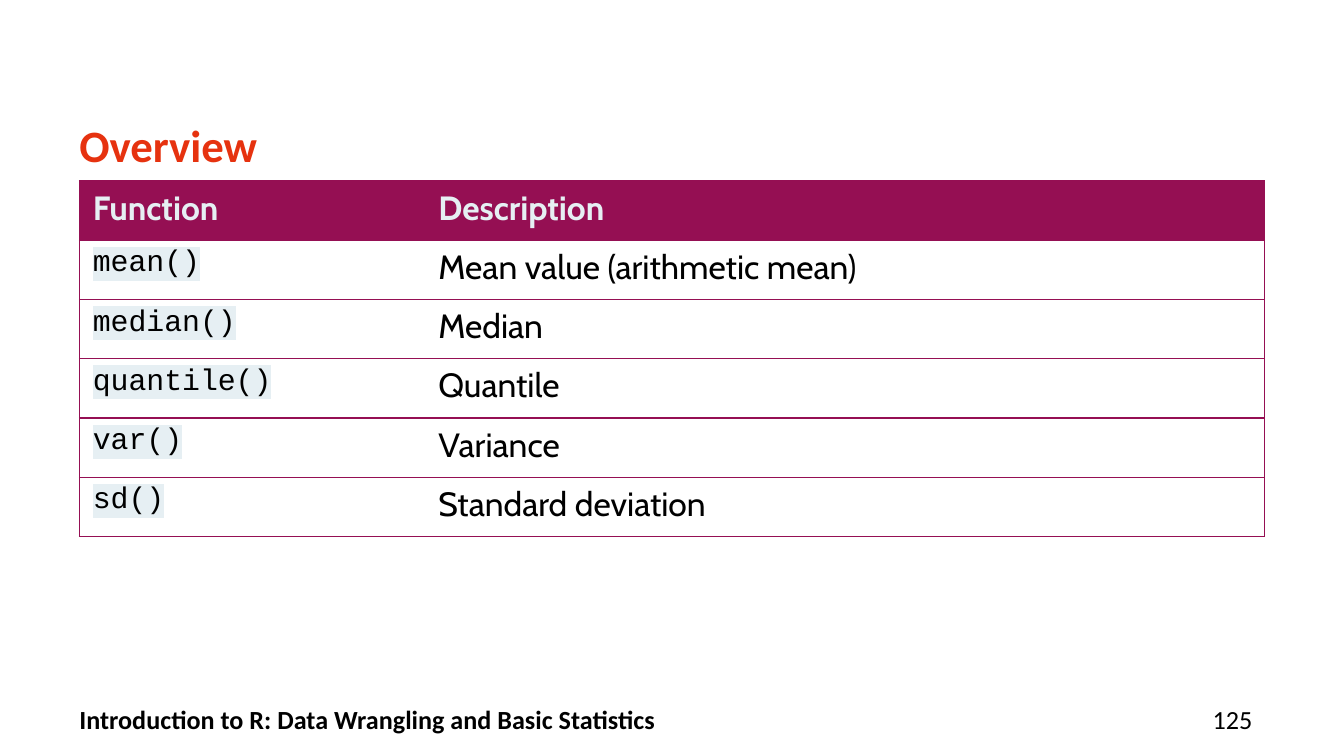
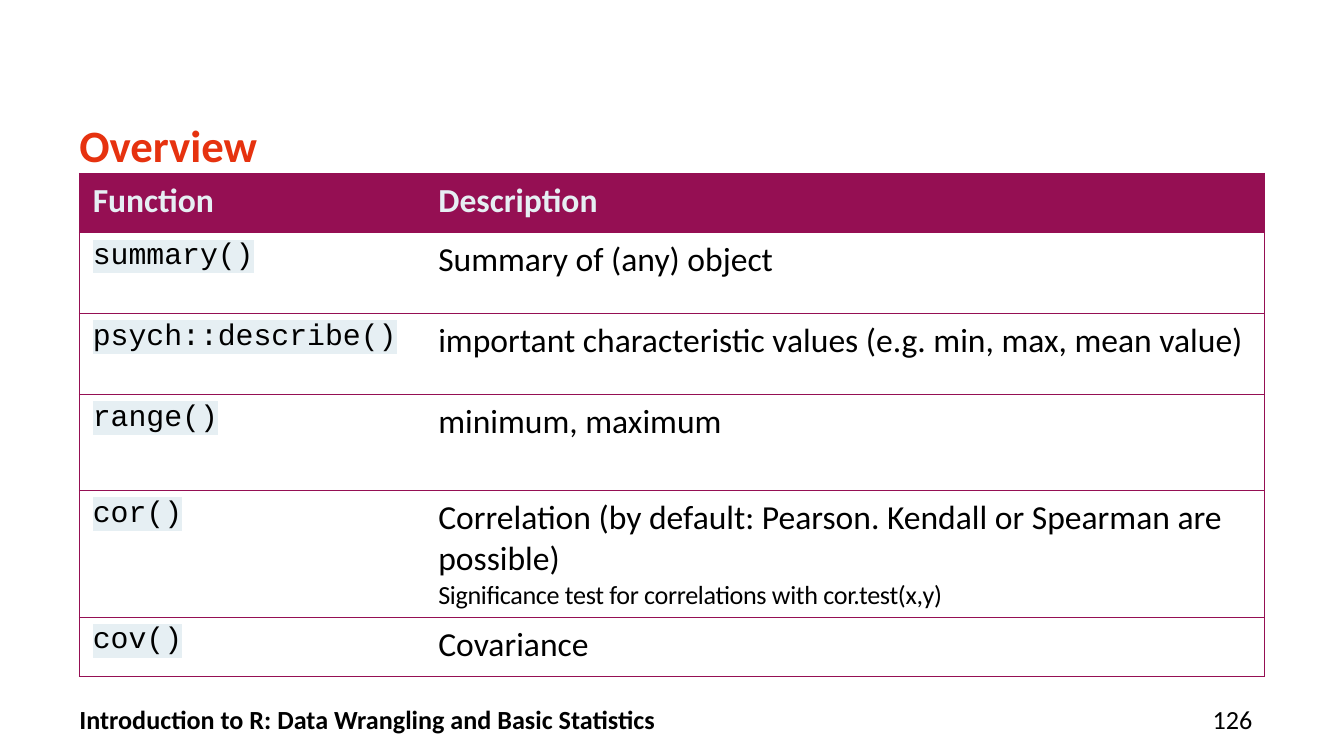
import pptx
import pptx.dml.color
import pptx.enum.text
import pptx.oxml
import pptx.oxml.ns
import pptx.util
from pptx.util import Cm

# Content
TITLE = "Overview"
FOOTER = "Introduction to R: Data Wrangling and Basic Statistics"
HEADER = ("Function", "Description")
SLIDES = [
    {
        "number": 125, "font": "Cabin", "table_top": 3.42,
        "heights": [1.12] * 6,
        "rows": [
            ("mean()", "Mean value (arithmetic mean)"),
            ("median()", "Median"),
            ("quantile()", "Quantile"),
            ("var()", "Variance"),
            ("sd()", "Standard deviation"),
        ],
    },
    {
        "number": 126, "font": "Calibri", "table_top": 3.28,
        "heights": [1.12, 1.53, 1.53, 1.81, 2.4, 1.12],
        "rows": [
            ("summary()", "Summary of (any) object"),
            ("psych::describe()", "important characteristic values (e.g. min, max, mean value)"),
            ("range()", "minimum, maximum"),
            ("cor()", "Correlation (by default: Pearson. Kendall or Spearman are possible)\v"
                      "Significance test for correlations with cor.test(x,y)"),
            ("cov()", "Covariance"),
        ],
    },
]

# Shared style
ORANGE, PURPLE, PALE, BLACK, WHITE = "E6320F", "950F53", "E6EFF3", "000000", "FFFFFF"
TEXT_FONT, CODE_FONT = "Calibri", "Courier New"
LEFT = 1.5
COLUMN_WIDTHS = (6.53, 15.87)
NAMESPACE = pptx.oxml.ns.nsdecls("a")


def color(value):
    return pptx.dml.color.RGBColor.from_string(value)


def format_run(run, size, font, fill, bold=False):
    run.font.size = pptx.util.Pt(size)
    run.font.name = font
    run.font.bold = bold
    run.font.color.rgb = color(fill)


def highlight(run):
    """Put a pale background behind a coloured run."""
    element = pptx.oxml.parse_xml(
        f'<a:highlight {NAMESPACE}><a:srgbClr val="{PALE}"/></a:highlight>')
    properties = run._r.get_or_add_rPr()
    properties.find(pptx.oxml.ns.qn("a:solidFill")).addnext(element)


def add_text(slide, text, box, size, fill=BLACK, bold=False):
    text_frame = slide.shapes.add_textbox(*map(Cm, box)).text_frame
    text_frame.word_wrap = True
    text_frame.margin_left = text_frame.margin_right = 0
    text_frame.margin_top = text_frame.margin_bottom = 0
    text_frame.text = text
    format_run(text_frame.paragraphs[0].runs[0], size, TEXT_FONT, fill, bold)
    return text_frame


def set_borders(cell, visible):
    """Draw the visible sides (L, R, T, B) and clear the others."""
    properties = cell._tc.get_or_add_tcPr()
    for index, side in enumerate("LRTB"):
        line = (f'<a:solidFill><a:srgbClr val="{PURPLE}"/></a:solidFill>'
                if side in visible else "<a:noFill/>")
        properties.insert(index, pptx.oxml.parse_xml(
            f'<a:ln{side} {NAMESPACE} w="9525">{line}</a:ln{side}>'))


def fill_cell(cell, text, row, column, font):
    is_header = row == 0
    cell.text_frame.text = text
    cell.fill.solid()
    cell.fill.fore_color.rgb = color(PURPLE if is_header else WHITE)
    set_borders(cell, "LTB" if column == 0 else "RTB")
    for index, run in enumerate(cell.text_frame.paragraphs[0].runs):
        if is_header:
            format_run(run, 18, font, PALE, bold=True)
        elif column == 0:
            format_run(run, 16, CODE_FONT, BLACK)
            highlight(run)
        elif index == 0:
            format_run(run, 18, font, BLACK)
        else:
            # Smaller remark under the description
            format_run(run, 14, font, BLACK)
            run._r.get_or_add_rPr().set("spc", "-20")


def add_function_table(slide, content):
    rows = [HEADER, *content["rows"]]
    heights = content["heights"]
    table = slide.shapes.add_table(
        len(rows), len(HEADER), Cm(LEFT), Cm(content["table_top"]),
        Cm(sum(COLUMN_WIDTHS)), Cm(sum(heights))).table
    table.horz_banding = False
    for column, width in zip(table.columns, COLUMN_WIDTHS):
        column.width = Cm(width)
    for row, (texts, height) in enumerate(zip(rows, heights)):
        table.rows[row].height = Cm(height)
        for column, text in enumerate(texts):
            fill_cell(table.cell(row, column), text, row, column, content["font"])


def build_slide(presentation, content):
    slide = presentation.slides.add_slide(presentation.slide_layouts[6])

    # Title
    title = add_text(slide, TITLE, (LEFT, 2.18, 22.17, 1.73), 24, ORANGE, bold=True)
    title.paragraphs[0].line_spacing = pptx.util.Pt(30)

    # Page number
    number = add_text(slide, str(content["number"]), (21.41, 13.31, 2.26, 0.56), 14)
    number.paragraphs[0].alignment = pptx.enum.text.PP_ALIGN.RIGHT

    add_function_table(slide, content)

    # Footer
    footer = add_text(slide, FOOTER, (LEFT, 13.31, 19.1, 0.56), 14, bold=True)
    for text_frame in (number, footer):
        text_frame.vertical_anchor = pptx.enum.text.MSO_ANCHOR.MIDDLE


def main():
    presentation = pptx.Presentation()
    presentation.slide_width = Cm(25.4)
    presentation.slide_height = Cm(14.29)
    for content in SLIDES:
        build_slide(presentation, content)
    presentation.save("out.pptx")


if __name__ == "__main__":
    main()
